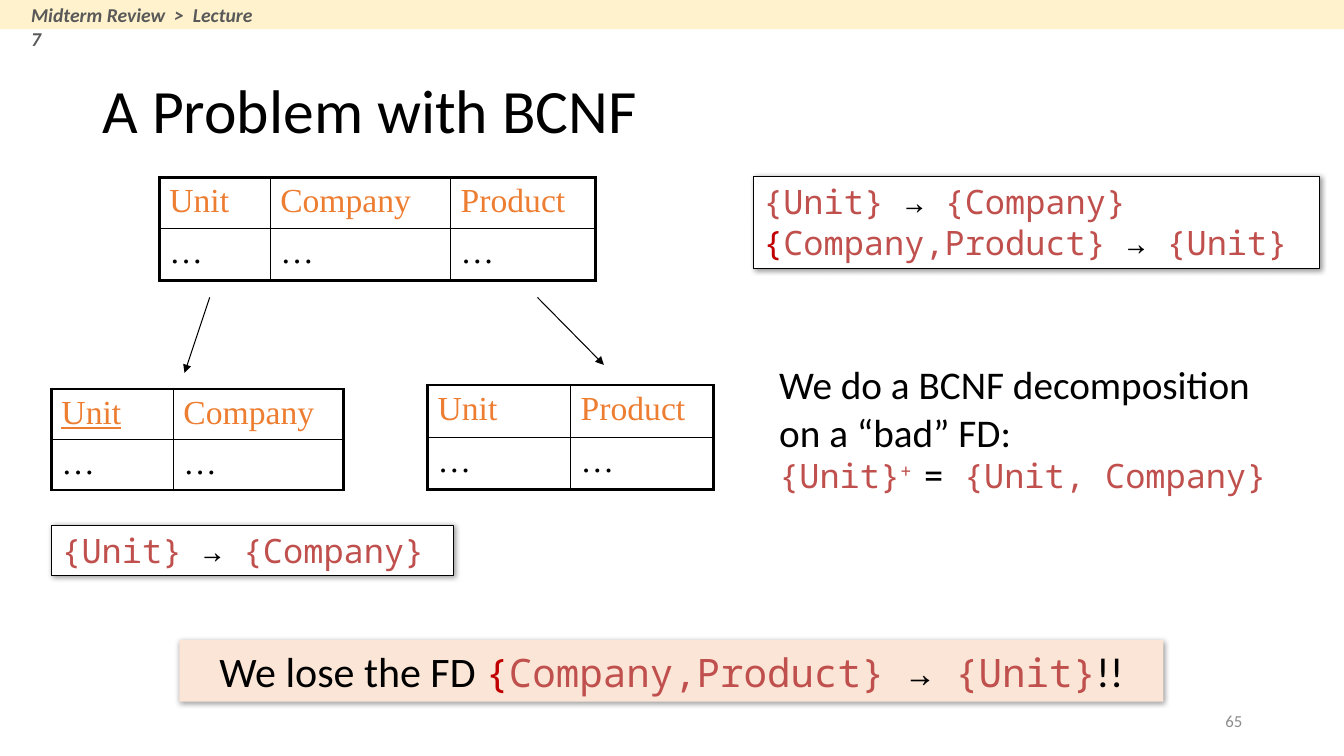
from dataclasses import dataclass, replace

from lxml.etree import SubElement
from pptx import Presentation
from pptx.dml.color import RGBColor
from pptx.enum.shapes import MSO_CONNECTOR, MSO_SHAPE
from pptx.enum.text import MSO_ANCHOR, MSO_AUTO_SIZE, PP_ALIGN
from pptx.oxml.ns import qn
from pptx.util import Inches, Pt


@dataclass(frozen=True)
class Style:
    font: str
    size: int
    color: str
    bold: bool = False
    italic: bool = False
    under: bool = False
    base: int = 0


@dataclass(frozen=True)
class Theme:
    black: str = "000000"
    white: str = "FFFFFF"
    band: str = "FFF2CC"
    peach: str = "FBE5D6"
    thick: float = 2.25
    thin: float = 1
    hair: float = 0.75
    title: Style = Style("Calibri", 44, "000000")
    body: Style = Style("Calibri", 28, "000000")
    alert: Style = Style("Calibri", 30, "000000")
    crumb: Style = Style("Calibri", 14, "595959", bold=True, italic=True)
    number: Style = Style("Calibri", 12, "8C8C8C")
    code: Style = Style("Noto Sans Mono", 24, "C0504D")
    op: Style = Style("Noto Sans Mono", 24, "000000")
    brace: Style = Style("Noto Sans Mono", 24, "C00000")
    head: Style = Style("Times New Roman", 24, "ED7D31")
    cell: Style = Style("Times New Roman", 24, "000000")


THEME = Theme()
KEY = replace(THEME.head, under=True)
UNIT_FD = [("{Unit} ", THEME.code), ("→", THEME.op), (" {Company}", THEME.code)]
LOST_FD = [("{", THEME.brace), ("Company,Product} ", THEME.code),
           ("→", THEME.op), (" {Unit}", THEME.code)]


def rgb(color):
    return RGBColor.from_string(color)


def write(para, runs):
    """Add (text, style) runs; a None run is a line break."""
    for item in runs:
        if item is None:
            para.add_line_break()
            continue
        text, style = item
        run = para.add_run()
        run.text = text
        font = run.font
        font.name, font.size = style.font, Pt(style.size)
        font.bold, font.italic, font.underline = style.bold, style.italic, style.under
        font.color.rgb = rgb(style.color)
        if style.base:
            run._r.get_or_add_rPr().set("baseline", str(style.base * 1000))


def fill_text(shape, paras, align=PP_ALIGN.LEFT, anchor=MSO_ANCHOR.TOP, grow=True):
    frame = shape.text_frame
    frame.word_wrap = True
    frame.vertical_anchor = anchor
    frame.auto_size = MSO_AUTO_SIZE.SHAPE_TO_FIT_TEXT if grow else MSO_AUTO_SIZE.NONE
    for i, runs in enumerate(paras):
        para = frame.add_paragraph() if i else frame.paragraphs[0]
        para.alignment = align
        write(para, runs)
    return frame


def add_text(slide, box, paras, **options):
    shape = slide.shapes.add_textbox(*map(Inches, box))
    return fill_text(shape, paras, **options)


def add_rect(slide, box, fill, line=None):
    shape = slide.shapes.add_shape(MSO_SHAPE.RECTANGLE, *map(Inches, box))
    shape.shadow.inherit = False
    shape.fill.solid()
    shape.fill.fore_color.rgb = rgb(fill)
    if line:
        shape.line.color.rgb = rgb(line)
        shape.line.width = Pt(THEME.hair)
    else:
        shape.line.fill.background()
    return shape


def add_card(slide, box, runs, fill=THEME.white, line=THEME.black, align=PP_ALIGN.LEFT):
    """Draw a rectangle with a soft shadow and one paragraph."""
    shape = add_rect(slide, box, fill, line)
    effects = shape._element.spPr.find(qn("a:effectLst"))
    shadow = SubElement(effects, qn("a:outerShdw"), blurRad=str(Pt(4)), dist=str(Pt(1)),
                        dir=str(45 * 60000), algn="tl", rotWithShape="0")
    color = SubElement(shadow, qn("a:srgbClr"), val=THEME.black)
    SubElement(color, qn("a:alpha"), val="40000")
    fill_text(shape, [runs], align=align)


def add_border(cell, side, width):
    line = SubElement(cell._tc.get_or_add_tcPr(), qn(f"a:ln{side}"), w=str(Pt(width)))
    SubElement(SubElement(line, qn("a:solidFill")), qn("a:srgbClr"), val=THEME.black)


def add_relation(slide, left, top, widths, height, names, key=None):
    """Draw a relation: a row of attribute names over a row of dots."""
    rows = [[(name, KEY if name == key else THEME.head) for name in names],
            [("…", THEME.cell)] * len(names)]
    box = (left, top, sum(widths), height * len(rows))
    table = slide.shapes.add_table(len(rows), len(names), *map(Inches, box)).table
    table.first_row = table.horz_banding = False
    for column, width in zip(table.columns, widths):
        column.width = Inches(width)
    for r, row in enumerate(rows):
        table.rows[r].height = Inches(height)
        for c, run in enumerate(row):
            cell = table.cell(r, c)
            outer = {"L": c == 0, "R": c == len(names) - 1,
                     "T": r == 0, "B": r == len(rows) - 1}
            for side, edge in outer.items():
                add_border(cell, side, THEME.thick if edge else THEME.thin)
            cell.fill.background()
            write(cell.text_frame.paragraphs[0], [run])


def add_arrow(slide, start, end):
    line = slide.shapes.add_connector(MSO_CONNECTOR.STRAIGHT, *map(Inches, start + end))
    line.line.color.rgb = rgb(THEME.black)
    line.line.width = Pt(THEME.hair)
    SubElement(line.line._get_or_add_ln(), qn("a:tailEnd"), type="triangle")
    SubElement(line._element.spPr, qn("a:effectLst"))


def add_header(slide, left, top, width):
    add_rect(slide, (left, top, width, 0.29), THEME.band)
    add_text(slide, (left + 0.21, top - 0.02, 2.48, 0.34),
             [[("Midterm Review  >  Lecture 7", THEME.crumb)]])
    title = add_text(slide, (left + 0.92, top + 0.4, 11.5, 1.45),
                     [[("A Problem with BCNF", THEME.title)]],
                     anchor=MSO_ANCHOR.MIDDLE, grow=False)
    title.paragraphs[0].line_spacing = 0.9


def add_split(slide, left, top):
    """Draw the full relation, its two parts and the dependency that is kept."""
    add_relation(slide, left + 1.07, top, (1.1, 1.79, 1.44), 0.51,
                 ("Unit", "Company", "Product"))
    add_relation(slide, left, top + 2.1, (1.21, 1.69), 0.5, ("Unit", "Company"), key="Unit")
    add_relation(slide, left + 3.73, top + 2.06, (1.42, 1.42), 0.52, ("Unit", "Product"))
    add_arrow(slide, (left + 1.57, top + 1.19), (left + 1.32, top + 1.94))
    add_arrow(slide, (left + 4.82, top + 1.19), (left + 5.48, top + 1.86))
    add_card(slide, (left, top + 3.45, 3.99, 0.5), UNIT_FD)


def add_reason(slide, left, top):
    """Draw the given dependencies and the note on the bad one."""
    add_card(slide, (left, top, 5.62, 0.91), UNIT_FD + [None] + LOST_FD)
    closure = [("{Unit}", THEME.code), ("+ ", replace(THEME.code, base=30)),
               ("= ", THEME.op), ("{Unit, Company}", THEME.code)]
    add_text(slide, (left + 0.16, top + 1.78, 5.29, 1.45),
             [[("We do a BCNF decomposition on a “bad” FD:", THEME.body)], closure])


def add_footer(slide, left, top):
    lost = [(text, replace(style, size=28)) for text, style in LOST_FD]
    runs = [("We lose the FD ", THEME.alert), *lost, ("!!", THEME.alert)]
    add_card(slide, (left, top, 9.76, 0.61), runs, THEME.peach, None, PP_ALIGN.CENTER)
    add_text(slide, (left + 7.64, top + 0.6, 3, 0.4), [[("65", THEME.number)]],
             align=PP_ALIGN.RIGHT, anchor=MSO_ANCHOR.MIDDLE, grow=False)


def main():
    deck = Presentation()
    deck.slide_width, deck.slide_height = Inches(13.33), Inches(7.5)
    slide = deck.slides.add_slide(deck.slide_layouts[6])
    add_header(slide, 0, 0, 13.33)
    add_split(slide, 0.51, 1.76)
    add_reason(slide, 7.47, 1.75)
    add_footer(slide, 1.78, 6.35)
    deck.save("out.pptx")


if __name__ == "__main__":
    main()
